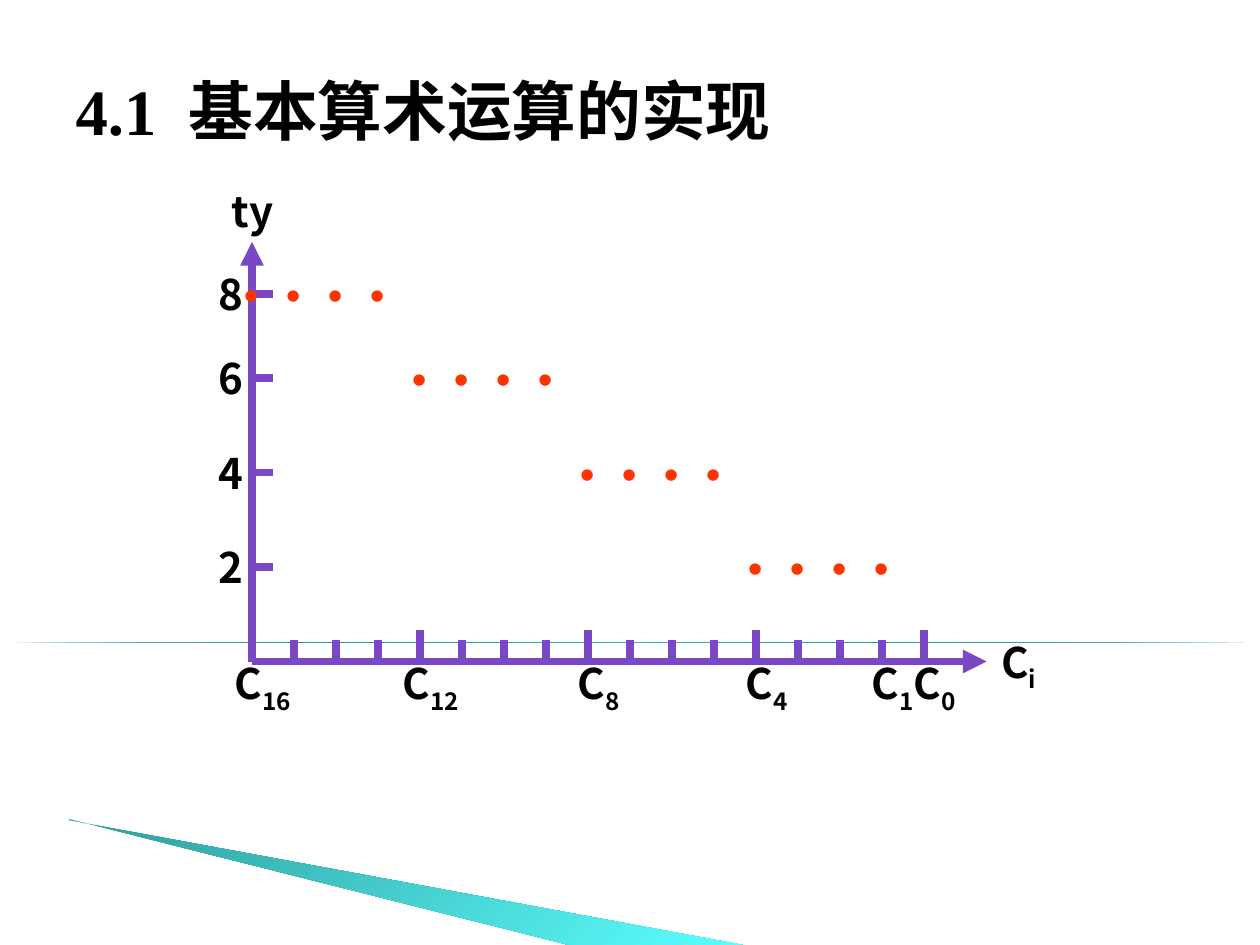
from math import ceil
from typing import NamedTuple

from lxml.etree import SubElement
from pptx import Presentation
from pptx.dml.color import RGBColor
from pptx.enum.shapes import MSO_CONNECTOR as Connector, MSO_SHAPE as Preset
from pptx.enum.text import MSO_ANCHOR as Anchor, PP_ALIGN as Align
from pptx.oxml import parse_xml
from pptx.oxml.ns import nsdecls, qn
from pptx.util import Inches, Pt

PURPLE = "7A48C4"
ORANGE = "FF3300"
BLACK = "000000"
SANS = "Noto Sans CJK SC"
SERIF = "Times New Roman"

ORIGIN_X = 2
ORIGIN_Y = 5.25
STEP = 1 / 3
LAST_CARRY = 16
LEVELS = {2: 4.5, 4: 3.75, 6: 3, 8: 2.33}


class TextRun(NamedTuple):
    text: str
    size: float = 24
    font: str = SANS
    color: str = BLACK
    bold: bool = True
    baseline: int = 0
    spacing: int = 0


class Label(NamedTuple):
    left: float
    top: float
    width: float
    height: float
    runs: tuple[TextRun, ...]


class Segment(NamedTuple):
    start: tuple[float, float]
    end: tuple[float, float]
    arrow: bool = False


class GradientStop(NamedTuple):
    percent: int
    color: str


def rgb(color: str) -> RGBColor:
    return RGBColor.from_string(color)


def add_run(paragraph, item: TextRun) -> None:
    run = paragraph.add_run()
    run.text = item.text
    font = run.font
    font.size = Pt(item.size)
    font.name = item.font
    font.bold = item.bold
    font.color.rgb = rgb(item.color)
    properties = run._r.get_or_add_rPr()
    SubElement(properties, qn("a:ea")).set("typeface", item.font)
    if item.baseline:
        properties.set("baseline", str(item.baseline * 1000))
    if item.spacing:
        properties.set("spc", str(item.spacing * 100))


def add_label(slide, label: Label) -> None:
    box = slide.shapes.add_textbox(
        Inches(label.left), Inches(label.top), Inches(label.width), Inches(label.height)
    )
    box.text_frame.word_wrap = True
    paragraph = box.text_frame.paragraphs[0]
    paragraph.alignment = Align.CENTER
    paragraph.space_before = Pt(15)
    for item in label.runs:
        add_run(paragraph, item)


def add_segment(slide, segment: Segment) -> None:
    connector = slide.shapes.add_connector(
        Connector.STRAIGHT,
        *(Inches(value) for value in segment.start + segment.end),
    )
    connector.line.color.rgb = rgb(PURPLE)
    connector.line.width = Pt(4.5)
    if segment.arrow:
        line = connector.line._get_or_add_ln()
        SubElement(line, qn("a:tailEnd")).set("type", "triangle")
    SubElement(connector._element.spPr, qn("a:effectLst"))


def apply_gradient(shape, stops: tuple[GradientStop, ...], angle: int) -> None:
    shape.shadow.inherit = False
    shape.line.fill.background()
    shape.fill.background()
    stop_xml = "".join(
        f'<a:gs pos="{stop.percent * 1000}"><a:srgbClr val="{stop.color}"/></a:gs>'
        for stop in stops
    )
    gradient = parse_xml(
        f'<a:gradFill {nsdecls("a")}><a:gsLst>{stop_xml}</a:gsLst>'
        f'<a:lin ang="{angle * 60000}" scaled="0"/></a:gradFill>'
    )
    properties = shape._element.spPr
    properties.replace(properties.find(qn("a:noFill")), gradient)


def add_decoration(slide) -> None:
    rule = slide.shapes.add_shape(
        Preset.RIGHT_TRIANGLE, 0, Inches(5.1), Inches(10.01), 0
    )
    rule_stops = (
        GradientStop(0, "007897"),
        GradientStop(50, "4ABBE0"),
        GradientStop(100, "007897"),
    )
    apply_gradient(rule, rule_stops, 50)

    builder = slide.shapes.build_freeform(Inches(0.55), Inches(6.51))
    builder.add_line_segments(
        [(Inches(x), Inches(y)) for x, y in ((5.95, 7.51), (4.56, 7.51), (0.55, 6.5))]
    )
    wedge = builder.convert_to_shape()
    apply_gradient(wedge, (GradientStop(0, "319C9C"), GradientStop(100, "5BFFFF")), 45)


def format_title(slide) -> None:
    title = slide.shapes.title
    title.left, title.top = Inches(0.5), Inches(0.3)
    title.width, title.height = Inches(9), Inches(1.25)
    title.text_frame.vertical_anchor = Anchor.MIDDLE
    paragraph = title.text_frame.paragraphs[0]
    paragraph.alignment = Align.JUSTIFY
    paragraph.line_spacing = 0.8
    for item in (
        TextRun("4.1", 37, SERIF),
        TextRun(" ", 37, SERIF, spacing=9),
        TextRun("基本算术运算的实现", 37),
    ):
        add_run(paragraph, item)


def carry_x(carry: int) -> float:
    return ORIGIN_X + (LAST_CARRY - carry) * STEP


def carry_label(left: float, top: float, subscript: str) -> Label:
    runs = (TextRun("C"), TextRun(subscript, baseline=-25))
    return Label(left, top, 1.17, 0.56, runs)


def add_axes(slide) -> None:
    origin = (ORIGIN_X, ORIGIN_Y)
    add_segment(slide, Segment(origin, (7.83, ORIGIN_Y), arrow=True))
    add_segment(slide, Segment(origin, (ORIGIN_X, 1.92), arrow=True))
    for carry in range(LAST_CARRY):
        x = carry_x(carry)
        top = 5 if carry % 4 == 0 else 5.08
        add_segment(slide, Segment((x, top), (x, ORIGIN_Y)))
    for carry in (16, 12, 8, 4, 1, 0):
        add_label(slide, carry_label(carry_x(carry) - 0.5, 5.17, str(carry)))
    for level, y in LEVELS.items():
        add_segment(slide, Segment((ORIGIN_X, y), (ORIGIN_X + 0.17, y)))
        add_label(slide, Label(1.58, y - 0.25, 0.5, 0.5, (TextRun(str(level)),)))
    add_label(slide, carry_label(7.5, 5, "i"))
    add_label(slide, Label(1.42, 1.42, 1.17, 0.5, (TextRun("ty"),)))


def add_delay_points(slide) -> None:
    dot = TextRun("•", font="Arial", color=ORANGE, bold=False)
    for carry in range(LAST_CARRY, 0, -1):
        y = LEVELS[2 * ceil(carry / 4)]
        add_label(slide, Label(carry_x(carry) - 0.42, y - 0.25, 0.83, 0.5, (dot,)))


def main() -> None:
    presentation = Presentation()
    presentation.slide_width = Inches(10)
    presentation.slide_height = Inches(7.5)
    slide = presentation.slides.add_slide(presentation.slide_layouts[5])
    add_decoration(slide)
    format_title(slide)
    add_axes(slide)
    add_delay_points(slide)
    presentation.save("out.pptx")


if __name__ == "__main__":
    main()
